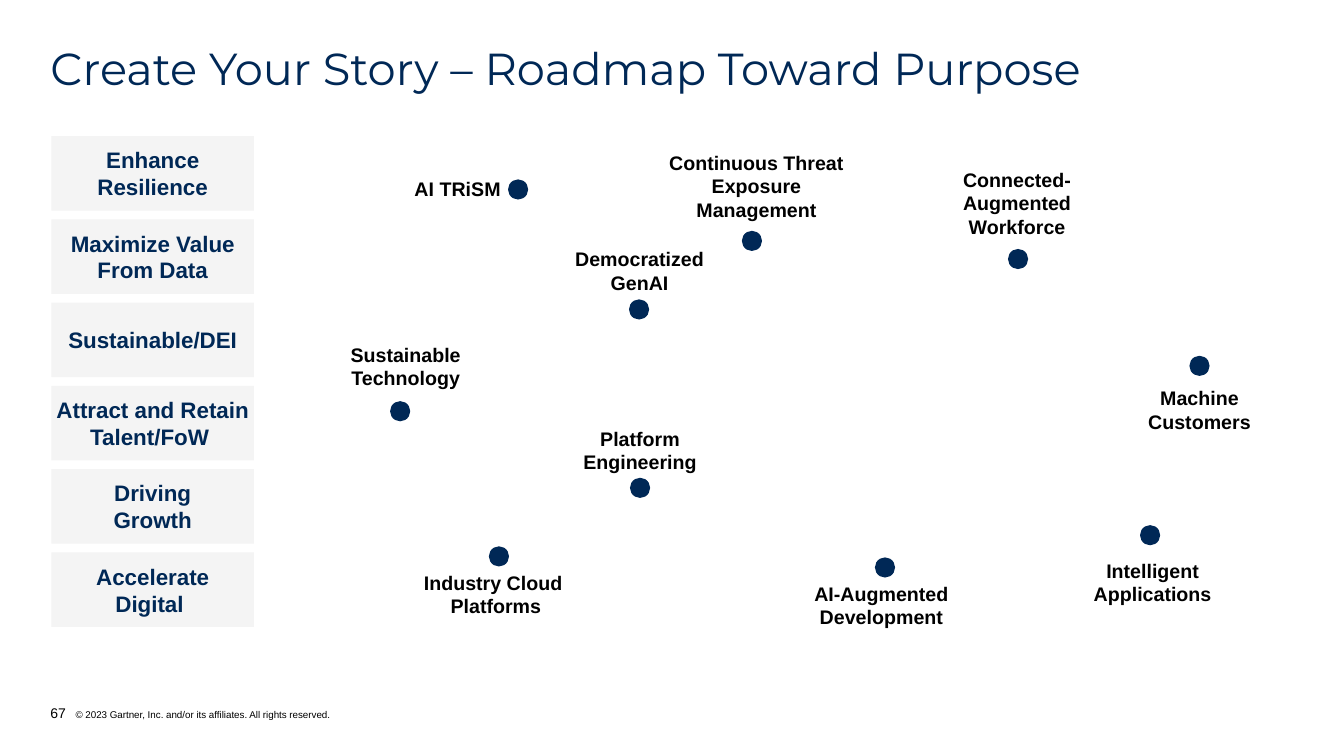
from typing import NamedTuple

from lxml.etree import SubElement
from pptx import Presentation
from pptx.dml.color import RGBColor
from pptx.enum.shapes import MSO_SHAPE
from pptx.enum.text import MSO_ANCHOR, PP_ALIGN
from pptx.oxml.ns import qn
from pptx.util import Inches, Pt

NAVY = RGBColor(0x00, 0x28, 0x56)
PALE_GREY = RGBColor(0xF4, 0xF4, 0xF4)
BLACK = RGBColor(0x00, 0x00, 0x00)
WHITE = RGBColor(0xFF, 0xFF, 0xFF)

CELL = Inches(0.1)
SLIDE_COLUMNS, SLIDE_ROWS = 133.33, 75
DOT_SIZE = 2
PILLAR_LEFT, PILLAR_TOP = 5.1, 13.5
PILLAR_WIDTH, PILLAR_HEIGHT, PILLAR_PITCH = 20.1, 7.4, 8.26

PILLARS = [
    "Enhance Resilience",
    "Maximize Value From Data",
    "Sustainable/DEI",
    "Attract and Retain Talent/FoW ",
    "Driving\nGrowth",
    "Accelerate\nDigital ",
]


class Trend(NamedTuple):
    """A trend with the grid places of its dot and label."""
    name: str
    dot_left: float
    dot_top: float
    label_left: float
    label_top: float
    label_width: float
    label_height: float = 3.7


TRENDS = [
    Trend("AI TRiSM", 50.4, 17.8, 38.7, 16.9, 13.4),
    Trend("Continuous Threat Exposure Management", 73.6, 22.9, 65.4, 16.6, 19.3),
    Trend("Connected-Augmented Workforce", 100, 24.7, 93.2, 18.3, 15.4),
    Trend("Democratized GenAI", 62.4, 29.7, 54.6, 25, 17.7),
    Trend("Sustainable Technology", 38.7, 39.8, 33.2, 34.5, 14.1),
    Trend("Machine Customers", 118, 35.3, 111.3, 38.8, 15.4),
    Trend("Platform Engineering", 62.5, 47.4, 55.1, 42.8, 16.8),
    Trend("Industry Cloud \nPlatforms", 48.5, 54.2, 37.1, 55.5, 24.2, 6.9),
    Trend("AI-Augmented Development", 86.8, 55.3, 79.1, 58.2, 16.7),
    Trend("Intelligent Applications", 113.1, 52.1, 106.6, 55.9, 15.5),
]


def grid(*cells):
    """Turn grid columns and rows into slide lengths."""
    return [round(cell * CELL) for cell in cells]


def style(font, size, color, bold=False, name="Arial"):
    """Set the look of a font."""
    font.size, font.bold, font.name = Pt(size), bold, name
    font.color.rgb = color


def write(shape, text, size, color=BLACK, bold=False, name="Arial",
          align=PP_ALIGN.CENTER, anchor=MSO_ANCHOR.MIDDLE, inset=0):
    """Put formatted text in a shape and return its paragraph."""
    frame = shape.text_frame
    frame.word_wrap = True
    frame.vertical_anchor = anchor
    frame.margin_left = frame.margin_right = Inches(inset)
    frame.margin_top = frame.margin_bottom = Inches(inset)
    paragraph = frame.paragraphs[0]
    paragraph.text = text
    paragraph.alignment = align
    for font in [paragraph.font, *(run.font for run in paragraph.runs)]:
        style(font, size, color, bold, name)
    return paragraph


def add_block(slide, preset, color, *cells):
    """Add a plain filled shape."""
    block = slide.shapes.add_shape(preset, *grid(*cells))
    block.shadow.inherit = False
    block.fill.solid()
    block.fill.fore_color.rgb = color
    block.line.fill.background()
    return block


def add_text(slide, text, *cells, **look):
    """Add a text box and return its paragraph."""
    return write(slide.shapes.add_textbox(*grid(*cells)), text, **look)


def add_pillar(slide, row, text):
    """Add one goal of the left column."""
    pillar = add_block(slide, MSO_SHAPE.RECTANGLE, PALE_GREY, PILLAR_LEFT,
                       PILLAR_TOP + row * PILLAR_PITCH, PILLAR_WIDTH, PILLAR_HEIGHT)
    write(pillar, text, 16, color=NAVY, bold=True)


def add_trend(slide, trend):
    """Add a trend's dot and label."""
    add_block(slide, MSO_SHAPE.OVAL, NAVY, trend.dot_left, trend.dot_top,
              DOT_SIZE, DOT_SIZE)
    add_text(slide, trend.name, trend.label_left, trend.label_top,
             trend.label_width, trend.label_height, size=14, bold=True, inset=0.04)


def add_footer(slide):
    """Add the page number and the copyright line."""
    footer = add_text(slide, "67", 5, 69.9, 79.9, 1.7, size=10,
                      align=PP_ALIGN.LEFT, anchor=MSO_ANCHOR.BOTTOM)
    properties = footer._p.get_or_add_pPr()
    properties.set("marL", str(Inches(0.25)))
    properties.set("indent", str(-Inches(0.25)))
    tabs = SubElement(properties, qn("a:tabLst"))
    SubElement(tabs, qn("a:tab"), pos=str(Inches(0.25)), algn="l")
    properties.insert(0, tabs)
    rights = footer.add_run()
    rights.text = "\t© 2023 Gartner, Inc. and/or its affiliates. All rights reserved."
    style(rights.font, 7, BLACK)


def main():
    """Build the roadmap slide."""
    deck = Presentation()
    deck.slide_width, deck.slide_height = grid(SLIDE_COLUMNS, SLIDE_ROWS)
    slide = deck.slides.add_slide(deck.slide_layouts[6])
    slide.background.fill.solid()
    slide.background.fill.fore_color.rgb = WHITE
    add_footer(slide)
    title = add_text(slide, "Create Your Story – Roadmap Toward Purpose",
                     5, 4.6, 123.3, 4.8, size=32, color=NAVY, name="Montserrat",
                     align=PP_ALIGN.LEFT, anchor=MSO_ANCHOR.TOP)
    title.line_spacing = 0.9
    for row, pillar in enumerate(PILLARS):
        add_pillar(slide, row, pillar)
    for trend in TRENDS:
        add_trend(slide, trend)
    deck.save("out.pptx")


if __name__ == "__main__":
    main()
